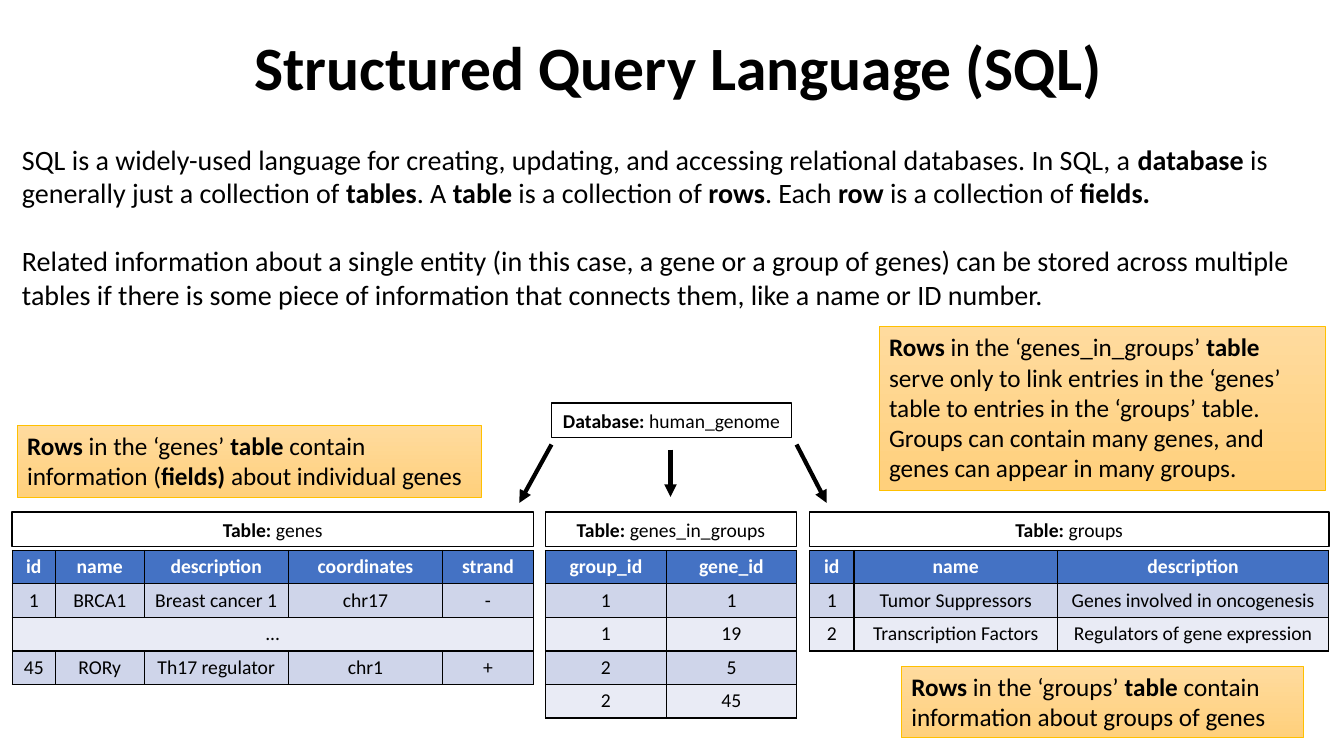
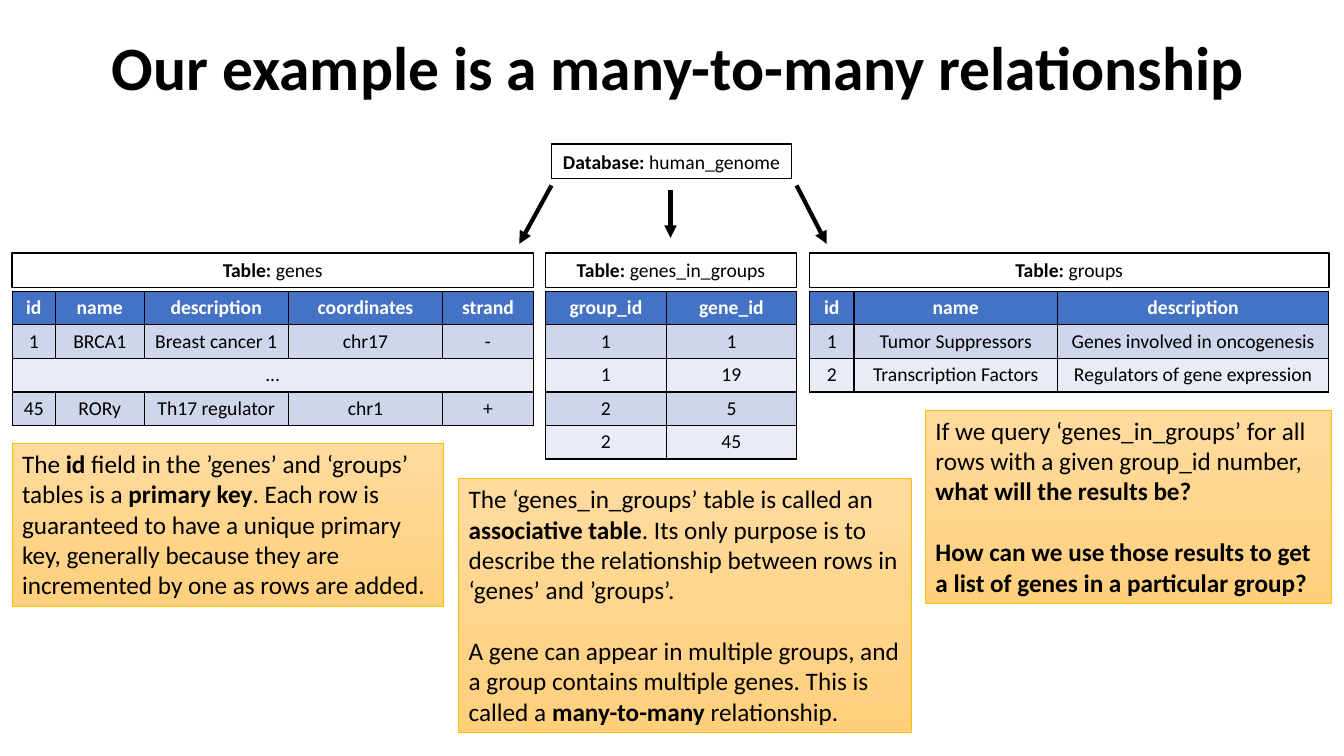
from dataclasses import dataclass

from lxml import etree
from pptx import Presentation
from pptx.dml.color import RGBColor as RGB
from pptx.enum.shapes import MSO_CONNECTOR as Link, MSO_SHAPE as Shape
from pptx.enum.text import MSO_ANCHOR as Anchor, MSO_AUTO_SIZE as Fit, PP_ALIGN as Align
from pptx.oxml import parse_xml
from pptx.oxml.ns import nsdecls, qn
from pptx.util import Inches, Pt


@dataclass(frozen=True)
class Theme:
    font: str = "Calibri"
    black: str = "000000"
    white: str = "FFFFFF"
    head: str = "4472C4"
    bands: tuple = ("CFD5EA", "E9EBF5")
    note: tuple = ("FFDB9E", "FFD07C")
    edge: str = "FFC000"
    title: int = 44
    body: int = 20
    call: int = 18
    label: int = 14
    thin: float = 0.5
    rule: float = 1
    arrow: float = 3


T = Theme()
ROW = 0.333

# Left offset, name, column widths and rows; a row of one cell spans the table.
TABLES = [
    (0, "genes", [0.43, 0.88, 1.43, 1.53, 0.9], [
        ["id", "name", "description", "coordinates", "strand"],
        ["1", "BRCA1", "Breast cancer 1", "chr17", "-"],
        ["..."],
        ["45", "RORy", "Th17 regulator", "chr1", "+"]]),
    (5.29, "genes_in_groups", [1.2, 1.29], [
        ["group_id", "gene_id"],
        ["1", "1"], ["1", "19"], ["2", "5"], ["2", "45"]]),
    (7.91, "groups", [0.44, 2.02, 2.69], [
        ["id", "name", "description"],
        ["1", "Tumor Suppressors", "Genes involved in oncogenesis"],
        ["2", "Transcription Factors", "Regulators of gene expression"]]),
]

# Start and end of each arrow, from the corner of the schema.
ARROWS = [((5.35, 0.41), (5.03, 0.99)),
          ((6.53, 0.46), (6.53, 0.93)),
          ((7.78, 0.41), (8.08, 0.99))]

INTRO = [
    "SQL is a widely-used language for creating, updating, and accessing relational "
    "databases. In SQL, a **database **is generally just a collection of **tables**. "
    "A **table** is a collection of **rows**. Each **row** is a collection of **fields.**",
    "Related information about a single entity (in this case, a gene or a group of genes) "
    "can be stored across multiple tables if there is some piece of information that "
    "connects them, like a name or ID number."]

ROLES = [
    ((0.17, 4.22, 4.6, 0.71), [
        "**Rows** in the ‘genes’ **table **contain information (**fields) **"
        "about individual genes"]),
    ((8.94, 6.61, 3.99, 0.71), [
        "**Rows** in the ‘groups’ **table** contain information about groups of genes"]),
    ((8.72, 3.24, 4.43, 1.62), [
        "**Rows** in the ‘genes_in_groups’ **table** serve only to link entries in the "
        "‘genes’ table to entries in the ‘groups’ table. Groups can contain many genes, "
        "and genes can appear in many groups."]),
]

KEYS = [
    ((0.12, 4.4, 4.28, 1.62), [
        "The **id** field in the ’genes’ and ‘groups’ tables is a **primary key**. Each "
        "row is guaranteed to have a unique primary key, generally because they are "
        "incremented by one as rows are added."]),
    ((4.55, 4.75, 4.49, 2.52), [
        "The ‘genes_in_groups’ table is called an **associative table**. Its only purpose "
        "is to describe the relationship between rows in ‘genes’ and ’groups’.",
        "A gene can appear in multiple groups, and a group contains multiple genes. This "
        "is called a **many-to-many** relationship."]),
    ((9.18, 4.07, 4.02, 1.92), [
        "If we query ‘genes_in_groups’ for all rows with a given group_id number, "
        "**what will the results be?**",
        "**How can we use those results to get a list of genes in a particular group?**"]),
]


def rgb(code):
    return RGB.from_string(code)


def inches(box):
    return [Inches(v) for v in box]


def write(frame, paras, size, color=T.black, align=Align.LEFT):
    """Fill a frame with paragraphs, a line apart; ** switches bold on and off."""
    frame.word_wrap = True
    for i, text in enumerate(paras):
        para = frame.paragraphs[0] if i == 0 else frame.add_paragraph()
        para.alignment = align
        para.space_before = Pt(size * 1.22 if i else 0)
        for j, part in enumerate(text.split("**")):
            if part:
                run = para.add_run()
                run.text = part
                font = run.font
                font.name, font.size, font.bold = T.font, Pt(size), j % 2 == 1
                font.color.rgb = rgb(color)


def panel(slide, box, edge, width):
    shape = slide.shapes.add_shape(Shape.RECTANGLE, *inches(box))
    shape.shadow.inherit = False
    shape.line.color.rgb = rgb(edge)
    shape.line.width = Pt(width)
    return shape


def tag(slide, box, text):
    shape = panel(slide, box, T.black, T.rule)
    shape.fill.solid()
    shape.fill.fore_color.rgb = rgb(T.white)
    frame = shape.text_frame
    frame.margin_left = frame.margin_right = Inches(0.05)
    frame.vertical_anchor = Anchor.MIDDLE
    write(frame, [text], T.label, align=Align.CENTER)


def callout(slide, box, paras):
    shape = panel(slide, box, T.edge, T.thin)
    shape.fill.gradient()
    shape.fill.gradient_angle = 270
    for stop, code in zip(shape.fill.gradient_stops, T.note):
        stop.color.rgb = rgb(code)
    shape.text_frame.vertical_anchor = Anchor.TOP
    write(shape.text_frame, paras, T.call)


def arrow(slide, start, end):
    line = slide.shapes.add_connector(Link.STRAIGHT, *inches(start + end))
    line.line.color.rgb = rgb(T.black)
    line.line.width = Pt(T.arrow)
    props = line.line._get_or_add_ln()
    etree.SubElement(props, qn("a:tailEnd"), type="triangle")
    etree.SubElement(line._element.spPr, qn("a:effectLst"))


def border(cell):
    props = cell._tc.get_or_add_tcPr()
    for side in "LRTB":
        props.append(parse_xml(
            f'<a:ln{side} {nsdecls("a")} w="{Pt(T.rule)}"><a:solidFill>'
            f'<a:srgbClr val="{T.black}"/></a:solidFill></a:ln{side}>'))


def grid(slide, left, top, cols, rows):
    box = (left, top, sum(cols), ROW * len(rows))
    table = slide.shapes.add_table(len(rows), len(cols), *inches(box)).table
    table.horz_banding = False
    for col, width in zip(table.columns, cols):
        col.width = Inches(width)
    for r, texts in enumerate(rows):
        table.rows[r].height = Inches(ROW)
        fill = T.bands[(r - 1) % 2] if r else T.head
        for c in range(len(cols)):
            cell = table.cell(r, c)
            border(cell)
            cell.fill.solid()
            cell.fill.fore_color.rgb = rgb(fill)
            cell.vertical_anchor = Anchor.MIDDLE
            cell.margin_left = cell.margin_right = Inches(0.05)
            cell.margin_top = cell.margin_bottom = Inches(0.04)
            if c < len(texts):
                text = texts[c] if r else f"**{texts[c]}**"
                write(cell.text_frame, [text], T.label,
                      T.black if r else T.white, Align.CENTER)
        if len(texts) == 1:
            table.cell(r, 0).merge(table.cell(r, len(cols) - 1))


def schema(slide, left, top):
    """Place the database, its arrows and its three tables."""
    tag(slide, (left + 5.35, top, 2.38, 0.34), "**Database: **human_genome")
    for ends in ARROWS:
        arrow(slide, *[(left + x, top + y) for x, y in ends])
    for x, name, cols, rows in TABLES:
        tag(slide, (left + x, top + 1.08, sum(cols), 0.34), f"**Table: **{name}")
        grid(slide, left + x, top + 1.46, cols, rows)


def intro(slide, box):
    write(slide.shapes.add_textbox(*inches(box)).text_frame, INTRO, T.body)


def page(deck, title, top, notes):
    """Add a slide with its title, the schema at top, and the callouts."""
    slide = deck.slides.add_slide(deck.slide_layouts[5])
    head = slide.shapes.title
    head.left, head.top, head.width, head.height = inches((0.98, -0.02, 11.5, 1.45))
    frame = head.text_frame
    frame.auto_size = Fit.NONE
    frame.vertical_anchor = Anchor.MIDDLE
    write(frame, [f"**{title}**"], T.title, align=Align.CENTER)
    frame.paragraphs[0].line_spacing = 0.9
    schema(slide, 0.12, top)
    for box, paras in notes:
        callout(slide, box, paras)
    return slide


def main():
    deck = Presentation()
    deck.slide_width, deck.slide_height = inches((13.33, 7.5))
    first = page(deck, "Structured Query Language (SQL)", 4, ROLES)
    intro(first, (0.12, 1.36, 13.2, 1.78))
    page(deck, "Our example is a many-to-many relationship", 1.43, KEYS)
    deck.save("out.pptx")


if __name__ == "__main__":
    main()
